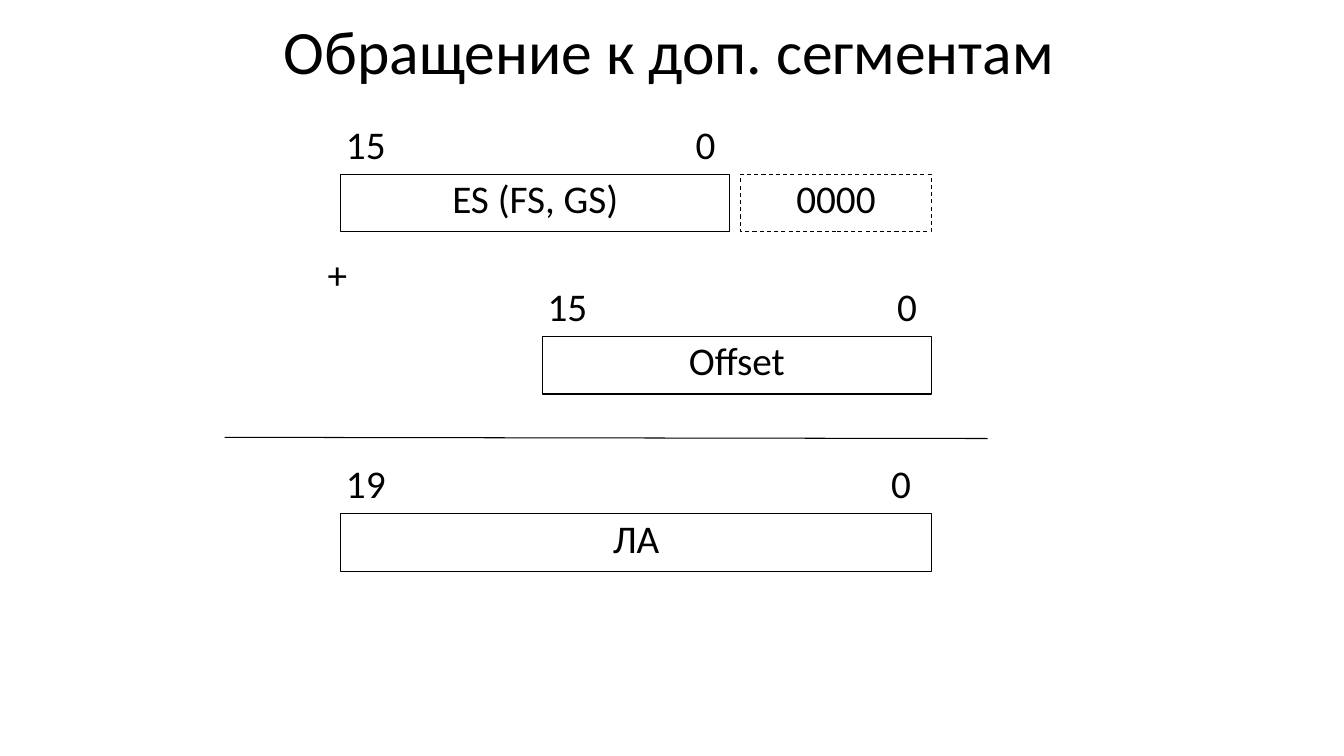
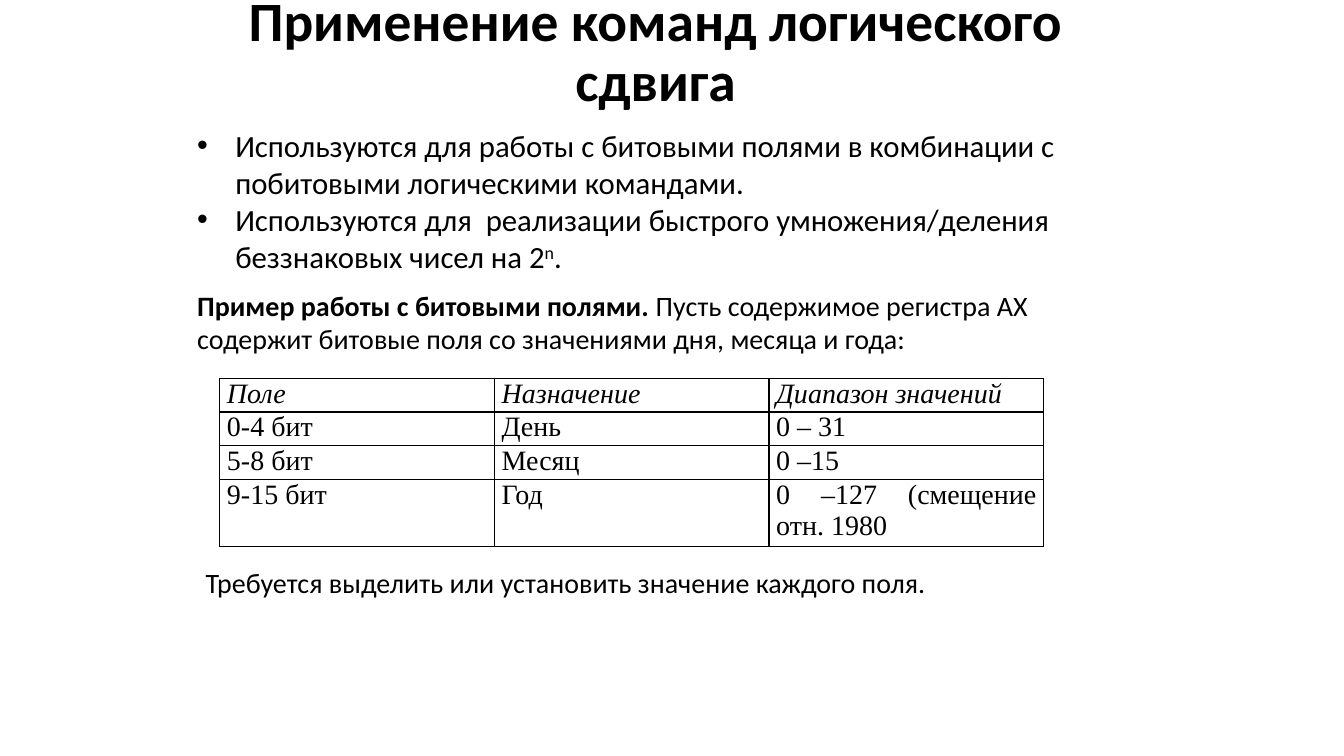
from lxml import etree
from pptx import Presentation
from pptx.dml.color import RGBColor
from pptx.enum.dml import MSO_LINE
from pptx.enum.shapes import MSO_CONNECTOR, MSO_SHAPE
from pptx.enum.text import MSO_ANCHOR, PP_ALIGN
from pptx.oxml.ns import qn
from pptx.util import Cm, Pt

RECT, STRAIGHT = MSO_SHAPE.RECTANGLE, MSO_CONNECTOR.STRAIGHT
LEFT, CENTER, JUSTIFY = PP_ALIGN.LEFT, PP_ALIGN.CENTER, PP_ALIGN.JUSTIFY
TOP, MIDDLE = MSO_ANCHOR.TOP, MSO_ANCHOR.MIDDLE
DASH = MSO_LINE.DASH

COLORS = {"ink": "000000", "paper": "FFFFFF"}
SANS, SERIF = "Calibri", "Times New Roman"
LINE_WIDTH = Pt(0.75)
NO_INSETS = {f"margin_{side}": 0 for side in ("left", "top", "right", "bottom")}
CELL_INSETS = NO_INSETS | {"margin_left": Cm(0.18), "margin_right": Cm(0.18)}

REGISTER_HEIGHT = 1.45
LABEL_RISE, LABEL_HEIGHT, LABEL_INDENT = 1.37, 1.19, 0.13
HIGH_WIDTH, LOW_WIDTH = 1.45, 1.22
SEGMENT_LEFT, REGISTERS_RIGHT = 8.59, 23.47
REGISTER_WIDTH = 9.8

FIELDS = [
    ("Поле", "Назначение", "Диапазон значений"),
    ("0-4 бит", "День", "0 – 31"),
    ("5-8 бит", "Месяц", "0 –15"),
    ("9-15 бит", "Год", "0 –127 (смещение отн. 1980"),
]
ROW_HEIGHTS = (0.85, 0.85, 0.85, 1.7)
COLUMN_WIDTH = 6.92


def color(name):
    return RGBColor.from_string(COLORS[name])


def apply(target, values):
    for name, value in values.items():
        setattr(target, name, value)


def add_run(p, text, size, font=SANS, **style):
    r = p.add_run()
    r.text = text
    apply(r.font, {"name": font, "size": Pt(size), **style})
    r.font.color.rgb = color("ink")
    return r


def add_text_box(s, left, top, width, height, anchor=TOP):
    box = s.shapes.add_textbox(Cm(left), Cm(top), Cm(width), Cm(height))
    apply(box.text_frame, {"word_wrap": True, "vertical_anchor": anchor})
    return box.text_frame


def add_title(s, text, left, top, width, height, size, bold=False):
    p = add_text_box(s, left, top, width, height, MIDDLE).paragraphs[0]
    apply(p, {"alignment": CENTER, "line_spacing": 0.9})
    add_run(p, text, size, bold=bold)


def add_box(s, text, left, top, width, height, align=CENTER, line=True, dash=None):
    sp = s.shapes.add_shape(RECT, Cm(left), Cm(top), Cm(width), Cm(height))
    sp.shadow.inherit = False
    sp.fill.solid()
    sp.fill.fore_color.rgb = color("paper")
    if line:
        sp.line.color.rgb = color("ink")
        apply(sp.line, {"width": LINE_WIDTH, "dash_style": dash})
    else:
        sp.line.fill.background()
    tf = sp.text_frame
    apply(tf, {"word_wrap": True, "vertical_anchor": TOP, **NO_INSETS})
    p = tf.paragraphs[0]
    p.alignment = align
    add_run(p, text, 28)


def add_register(s, text, left, top, width, high_bit, low_gap=0):
    add_box(s, text, left, top, width, REGISTER_HEIGHT)
    label_top = top - LABEL_RISE
    low_left = left + width - LOW_WIDTH - low_gap
    add_box(s, high_bit, left + LABEL_INDENT, label_top, HIGH_WIDTH, LABEL_HEIGHT, LEFT, False)
    add_box(s, "0", low_left, label_top, LOW_WIDTH, LABEL_HEIGHT, line=False)


def add_line(s, x1, y1, x2, y2):
    line = s.shapes.add_connector(STRAIGHT, Cm(x1), Cm(y1), Cm(x2), Cm(y2))
    line.line.color.rgb = color("ink")
    line.line.width = LINE_WIDTH
    etree.SubElement(line._element.spPr, qn("a:effectLst"))


def add_bullet(p):
    pPr = p._p.get_or_add_pPr()
    pPr.set("marL", str(Cm(0.96)))
    pPr.set("indent", str(Cm(-0.96)))
    etree.SubElement(pPr, qn("a:buFont"), typeface="Arial")
    etree.SubElement(pPr, qn("a:buChar"), char="•")


def add_cell_borders(cell):
    tcPr = cell._tc.get_or_add_tcPr()
    for side in ("lnL", "lnR", "lnT", "lnB"):
        ln = etree.SubElement(tcPr, qn(f"a:{side}"), w=str(Pt(1)))
        fill = etree.SubElement(ln, qn("a:solidFill"))
        etree.SubElement(fill, qn("a:srgbClr"), val=COLORS["ink"])


def add_table(s, rows, left, top):
    size = Cm(COLUMN_WIDTH * len(rows[0])), Cm(sum(ROW_HEIGHTS))
    table = s.shapes.add_table(len(rows), len(rows[0]), Cm(left), Cm(top), *size).table
    apply(table, {"first_row": False, "horz_banding": False})
    for column in table.columns:
        column.width = Cm(COLUMN_WIDTH)
    for i, (texts, height) in enumerate(zip(rows, ROW_HEIGHTS)):
        table.rows[i].height = Cm(height)
        for j, text in enumerate(texts):
            cell = table.cell(i, j)
            apply(cell, CELL_INSETS)
            add_cell_borders(cell)
            cell.fill.background()
            p = cell.text_frame.paragraphs[0]
            p.alignment = JUSTIFY
            add_run(p, text, 20, SERIF, italic=i == 0)


def add_segments_slide(s):
    add_title(s, "Обращение к доп. сегментам", 5.44, 0, 22.86, 2.77, 44)
    add_register(s, "ES (FS, GS)", SEGMENT_LEFT, 4.39, REGISTER_WIDTH, "15")
    add_box(s, "0000", REGISTERS_RIGHT - 4.8, 4.39, 4.8, REGISTER_HEIGHT, dash=DASH)
    add_register(s, "Offset", REGISTERS_RIGHT - REGISTER_WIDTH, 8.48, REGISTER_WIDTH, "15")
    add_box(s, "+", 8.26, 6.32, 0.74, LABEL_HEIGHT, LEFT, False)
    add_register(s, "ЛА", SEGMENT_LEFT, 12.95, REGISTERS_RIGHT - SEGMENT_LEFT, "19", 0.15)
    add_line(s, 5.66, 11.02, 24.89, 11.05)


def add_shift_slide(s):
    add_title(s, "Применение команд логического сдвига", 4.72, 0.36, 23.6, 1.96, 39.6, True)
    tf = add_text_box(s, 4.72, 3.07, 23.8, 6.07)
    p = tf.paragraphs[0]
    add_bullet(p)
    add_run(p, "Используются для работы с битовыми полями в комбинации с "
               "побитовыми логическими командами.", 22)
    p = tf.add_paragraph()
    add_bullet(p)
    add_run(p, "Используются для  реализации быстрого умножения/деления "
               "беззнаковых чисел на 2", 22)
    add_run(p, "n", 22).font._element.set("baseline", "30000")
    add_run(p, ".", 22)
    p = tf.add_paragraph()
    p.space_before = Pt(9.8)
    add_run(p, "Пример работы с битовыми полями. ", 20, bold=True)
    add_run(p, "Пусть содержимое регистра AX содержит битовые поля "
               "со значениями дня, месяца и года:", 20)
    add_table(s, FIELDS, 5.54, 9.53)
    p = add_text_box(s, 4.93, 14.12, 23.19, 1.12).paragraphs[0]
    add_run(p, "Требуется выделить или установить значение каждого поля.", 20)


def main():
    prs = Presentation()
    apply(prs, {"slide_width": Cm(33.87), "slide_height": Cm(19.05)})
    for build in (add_segments_slide, add_shift_slide):
        build(prs.slides.add_slide(prs.slide_layouts[6]))
    prs.save("out.pptx")


if __name__ == "__main__":
    main()
